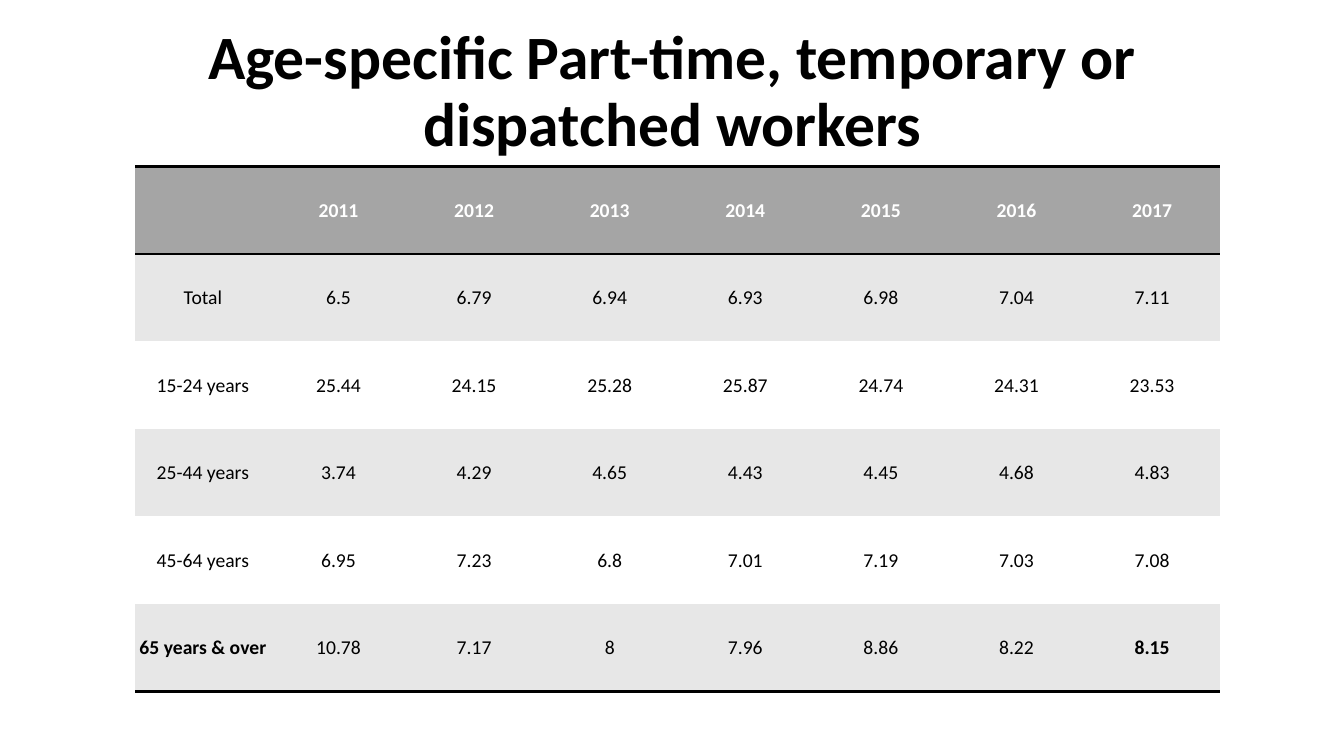
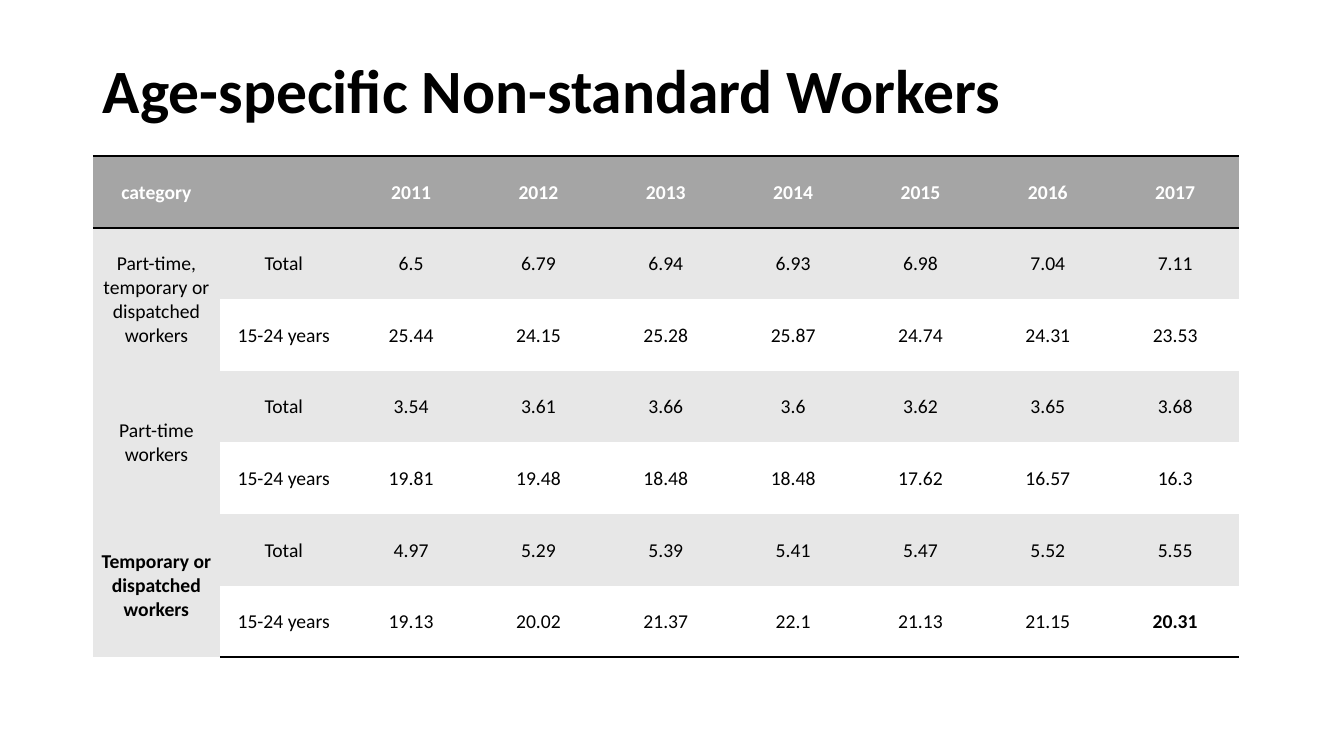
import dataclasses

import lxml.etree
import pptx
import pptx.dml.color
import pptx.enum.text
import pptx.oxml.ns
import pptx.util


@dataclasses.dataclass(frozen=True)
class Theme:
    font: str = "Calibri"
    title_size: int = 44
    cell_size: int = 14
    rule_width: int = 2
    ink: str = "000000"
    header_ink: str = "FFFFFF"
    header_fill: str = "A5A5A5"
    band_fills: tuple = ("E7E7E7", "FFFFFF")


THEME = Theme()
PLAIN_TABLE_STYLE = "{2D5ABB26-0587-4C30-8999-92F81FD0307C}"
Inches = pptx.util.Inches
colour = pptx.dml.color.RGBColor.from_string
CENTER = pptx.enum.text.PP_ALIGN.CENTER
LEFT = pptx.enum.text.PP_ALIGN.LEFT
MIDDLE = pptx.enum.text.MSO_ANCHOR.MIDDLE


def write_text(para, text, size, ink, bold, align):
    """Write text as styled runs, one per line."""
    para.alignment = align
    for number, line in enumerate(text.split("\n")):
        if number:
            para.add_line_break()
        span = para.add_run()
        span.text = line
        span.font.name = THEME.font
        span.font.size = pptx.util.Pt(size)
        span.font.bold = bold
        span.font.color.rgb = colour(ink)


def draw_rule(cell, side):
    """Draw a rule on the top (lnT) or bottom (lnB) of a cell."""
    line = lxml.etree.SubElement(
        cell._tc.get_or_add_tcPr(), pptx.oxml.ns.qn("a:" + side),
        w=str(pptx.util.Pt(THEME.rule_width)))
    fill = lxml.etree.SubElement(line, pptx.oxml.ns.qn("a:solidFill"))
    lxml.etree.SubElement(fill, pptx.oxml.ns.qn("a:srgbClr"), val=THEME.ink)


# Content: None marks a cell covered by the merged cell above it
YEARS = [str(year) for year in range(2011, 2018)]
TOTAL = ["Total", "6.5", "6.79", "6.94", "6.93", "6.98", "7.04", "7.11"]
YOUNG = ["15-24 years", "25.44", "24.15", "25.28", "25.87", "24.74", "24.31", "23.53"]

PAGES = [
    {
        "title": "Age-specific Part-time, temporary or dispatched workers",
        "align": CENTER,
        "area": (1.34, 1.65, 10.76, 5.21),
        "bold": {"65 years & over", "8.15"},
        "rows": [
            ["", *YEARS],
            TOTAL,
            YOUNG,
            ["25-44 years", "3.74", "4.29", "4.65", "4.43", "4.45", "4.68", "4.83"],
            ["45-64 years", "6.95", "7.23", "6.8", "7.01", "7.19", "7.03", "7.08"],
            ["65 years & over", "10.78", "7.17", "8", "7.96", "8.86", "8.22", "8.15"],
        ],
    },
    {
        "title": "Age-specific Non-standard Workers",
        "align": LEFT,
        "area": (0.92, 1.55, 11.37, 4.97),
        "bold": {"Temporary or\ndispatched\nworkers", "20.31"},
        "rows": [
            ["category", "", *YEARS],
            ["Part-time,\ntemporary or\ndispatched workers", *TOTAL],
            [None, *YOUNG],
            ["Part-time\nworkers", "Total",
             "3.54", "3.61", "3.66", "3.6", "3.62", "3.65", "3.68"],
            [None, "15-24 years",
             "19.81", "19.48", "18.48", "18.48", "17.62", "16.57", "16.3"],
            ["Temporary or\ndispatched\nworkers", "Total",
             "4.97", "5.29", "5.39", "5.41", "5.47", "5.52", "5.55"],
            [None, "15-24 years",
             "19.13", "20.02", "21.37", "22.1", "21.13", "21.15", "20.31"],
        ],
    },
]

# Deck and the shared title place
deck = pptx.Presentation()
deck.slide_width, deck.slide_height = Inches(13.33), Inches(7.5)
layout = deck.slide_layouts.get_by_name("Title Only")
title_place = layout.placeholders[0]
title_place.left, title_place.top = Inches(0.92), Inches(0.2)
title_place.width, title_place.height = Inches(11.5), Inches(1.45)

for content in PAGES:
    page = deck.slides.add_slide(layout)

    # Title
    frame = page.shapes.title.text_frame
    frame.auto_size = pptx.enum.text.MSO_AUTO_SIZE.NONE
    frame.vertical_anchor = MIDDLE
    frame.paragraphs[0].line_spacing = 0.9
    write_text(frame.paragraphs[0], content["title"], THEME.title_size,
               THEME.ink, True, content["align"])

    # Table with equal columns and rows
    rows = content["rows"]
    left, top, width, height = map(Inches, content["area"])
    table = page.shapes.add_table(
        len(rows), len(rows[0]), left, top, width, height).table
    table._tbl.tblPr.find(pptx.oxml.ns.qn("a:tableStyleId")).text = PLAIN_TABLE_STYLE
    table.horz_banding = False

    # Cells
    for row, texts in enumerate(rows):
        for column, text in enumerate(texts):
            cell = table.cell(row, column)
            is_header = row == 0
            if is_header:
                draw_rule(cell, "lnT")
            if is_header or row == len(rows) - 1:
                draw_rule(cell, "lnB")

            if text is None:
                fill = THEME.band_fills[0]
                table.cell(row - 1, column).merge(cell)
            elif is_header:
                fill = THEME.header_fill
            else:
                fill = THEME.band_fills[(row - 1) % 2]
            cell.fill.solid()
            cell.fill.fore_color.rgb = colour(fill)

            cell.vertical_anchor = MIDDLE
            cell.margin_left = cell.margin_right = cell.margin_top = Inches(0.01)
            cell.margin_bottom = 0
            if text:
                write_text(cell.text_frame.paragraphs[0], text, THEME.cell_size,
                           THEME.header_ink if is_header else THEME.ink,
                           is_header or text in content["bold"], CENTER)

deck.save("out.pptx")
